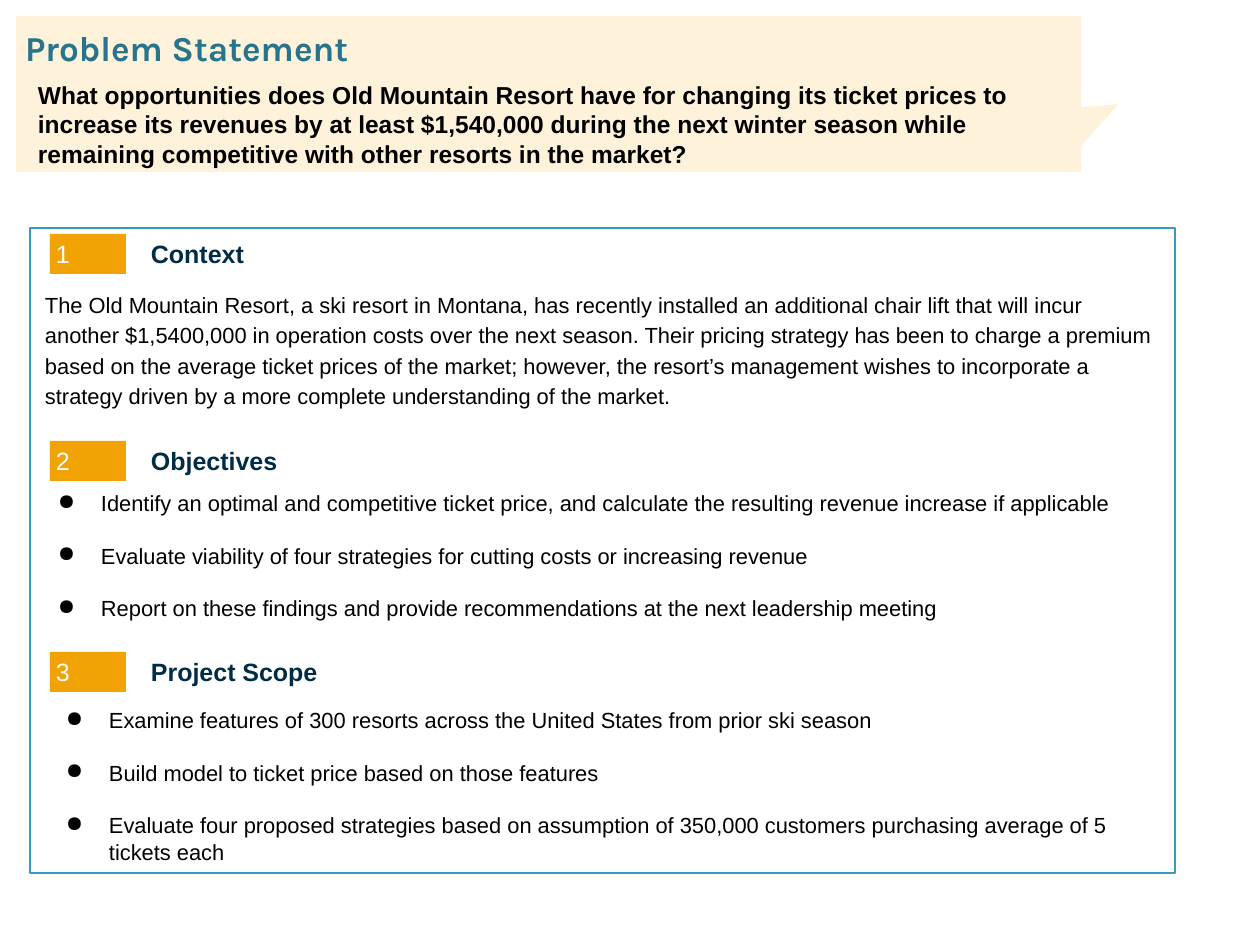
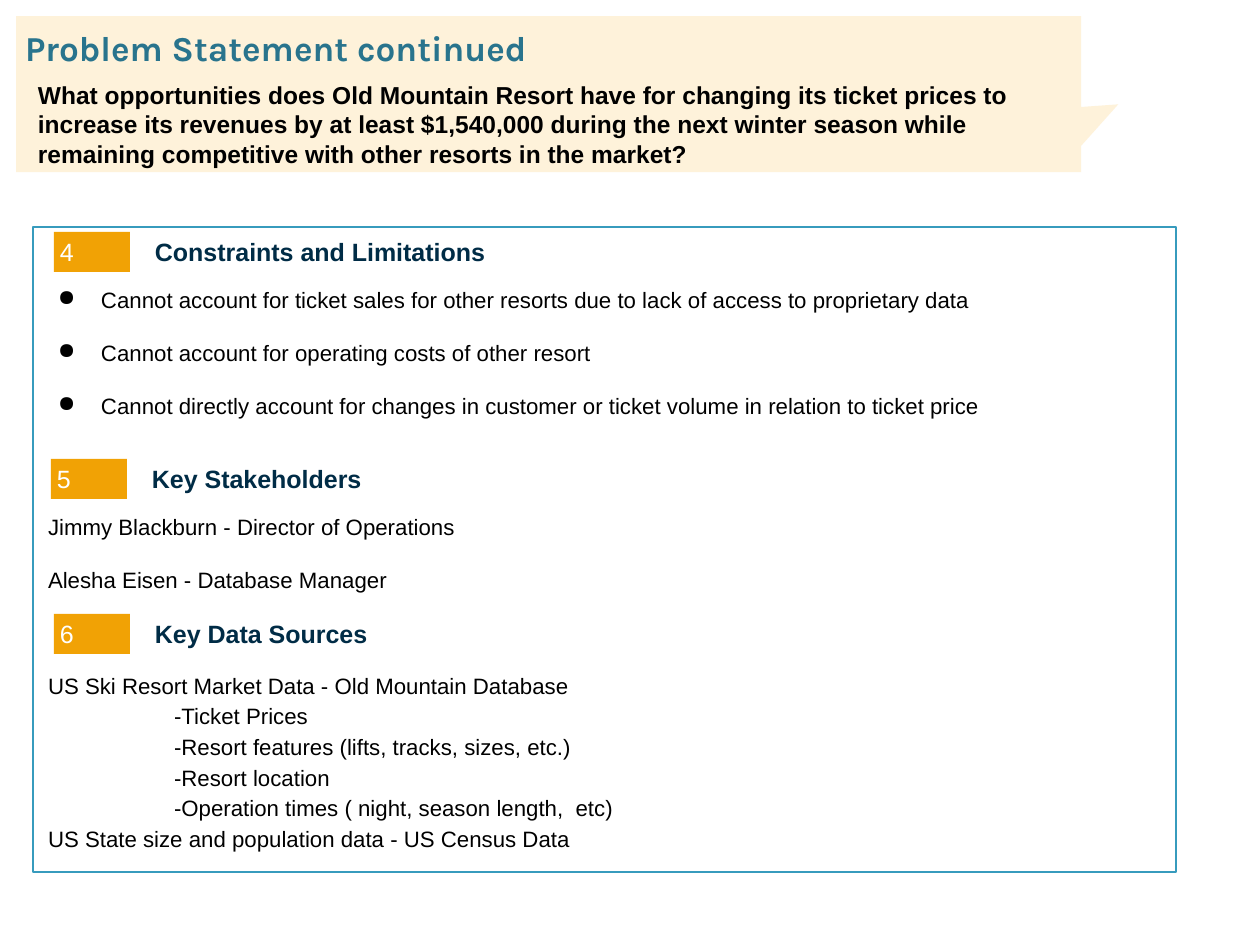
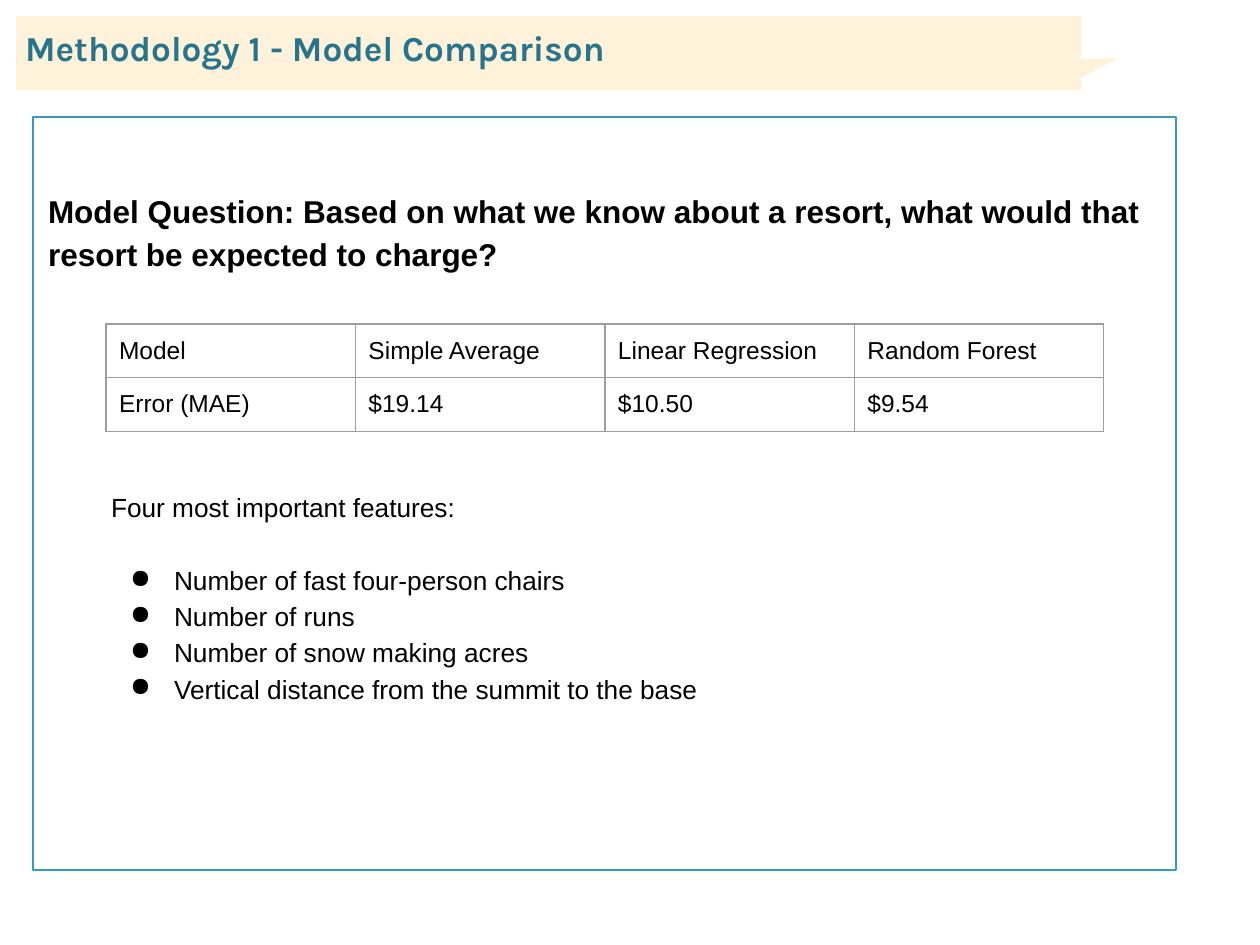
"""Build the three resort pricing slides: two problem statements and a model comparison."""
import pptx
import pptx.chart.data
import pptx.dml.color
import pptx.enum.shapes
import pptx.enum.text
import pptx.oxml
import pptx.oxml.ns
import pptx.util

THEME = {
    "title": {"name": "Karla", "size": 20, "bold": True, "color": "29748D"},
    "question": {"name": "Arial", "size": 14, "bold": True, "color": "000000"},
    "badge": {"name": "Arial", "size": 14.3, "bold": False, "color": "FFFFFF"},
    "heading": {"name": "Arial", "size": 14.3, "bold": True, "color": "002C46"},
    "body": {"name": "Arial", "size": 12.5, "bold": False, "color": "000000"},
    "body_large": {"name": "Arial", "size": 12.7, "bold": False, "color": "000000"},
    "model_question": {"name": "Arial", "size": 18, "bold": True, "color": "000000"},
    "feature": {"name": "Arial", "size": 15, "bold": False, "color": "000000"},
    "cell": {"name": "Arial", "size": 14, "bold": False, "color": "000000"},
    "banner_fill": "FEF2DA",
    "badge_fill": "F1A205",
    "frame_fill": "FFFFFF",
    "frame_line": "379BBD",
    "table_line": "9E9E9E",
    "bullet": "000000",
}

PARAGRAPHS = {
    "line": {},
    "spaced": {"after": 15},
    "loose": {"spacing": 1.15},
    "sub": {"spacing": 1.15, "left": 126},
    "bullet": {"after": 15, "left": 63, "hang": 43},
    "lead": {"spacing": 1.15, "after": 122},
    "feature_lead": {"spacing": 1.15, "after": 21, "left": 63},
    "feature": {"spacing": 1.15, "left": 126, "hang": 44},
}

QUESTION = [
    "What opportunities does Old Mountain Resort have for changing its ticket prices to",
    "increase its revenues by at least $1,540,000 during the next winter season while",
    "remaining competitive with other resorts in the market?",
]

STATEMENTS = [
    {
        "title": "Problem Statement",
        "frame": (30, 228, 1145, 645),
        "font": "body",
        "sections": [
            ("1", "Context", (50, 234), (32, 282, 1140, 171), [
                ("loose", "The Old Mountain Resort, a ski resort in Montana, has recently installed an "
                 "additional chair lift that will incur another $1,5400,000 in operation costs over the "
                 "next season. Their pricing strategy has been to charge a premium based on the average "
                 "ticket prices of the market; however, the resort’s management wishes to incorporate a "
                 "strategy driven by a more complete understanding of the market."),
            ]),
            ("2", "Objectives", (50, 441), (25, 484, 1140, 164), [
                ("bullet", "Identify an optimal and competitive ticket price, and calculate the resulting "
                 "revenue increase if applicable"),
                ("bullet", "Evaluate viability of four strategies for cutting costs or increasing revenue"),
                ("bullet", "Report on these findings and provide recommendations at the next leadership "
                 "meeting"),
            ]),
            ("3", "Project Scope", (50, 652), (33, 701, 1140, 171), [
                ("bullet", "Examine features of 300 resorts across the United States from prior ski season"),
                ("bullet", "Build model to ticket price based on those features"),
                ("bullet", "Evaluate four proposed strategies based on assumption of 350,000 customers "
                 "purchasing average of 5 tickets each"),
            ]),
        ],
    },
    {
        "title": "Problem Statement continued",
        "frame": (33, 227, 1143, 645),
        "font": "body_large",
        "sections": [
            ("4", "Constraints and Limitations", (54, 232), (25, 280, 1129, 164), [
                ("bullet", "Cannot account for ticket sales for other resorts due to lack of access to "
                 "proprietary data"),
                ("bullet", "Cannot account for operating costs of other resort"),
                ("bullet", "Cannot directly account for changes in customer or ticket volume in relation "
                 "to ticket price"),
            ]),
            ("5", "Key Stakeholders", (51, 459), (35, 507, 1129, 101), [
                ("spaced", "Jimmy Blackburn - Director of Operations"),
                ("spaced", "Alesha Eisen - Database Manager"),
            ]),
            ("6", "Key Data Sources", (54, 614), (35, 662, 1129, 183), [
                ("loose", "US Ski Resort Market Data - Old Mountain Database"),
                ("sub", "-Ticket Prices"),
                ("sub", "-Resort features (lifts, tracks, sizes, etc.)"),
                ("sub", "-Resort location"),
                ("sub", "-Operation times ( night, season length,  etc)"),
                ("loose", "US State size and population data - US Census Data"),
            ]),
        ],
    },
]

COMPARISON = {
    "title": "Methodology 1 - Model Comparison",
    "frame": (33, 117, 1143, 753),
    "text_at": (35, 180, 1129, 663),
    "text": [
        ("lead", "model_question", "Model Question: Based on what we know about a resort, what would that "
         "resort be expected to charge?"),
        ("feature_lead", "feature", "Four most important features:"),
        ("feature", "feature", "Number of fast four-person chairs"),
        ("feature", "feature", "Number of runs"),
        ("feature", "feature", "Number of snow making acres"),
        ("feature", "feature", "Vertical distance from the summit to the base"),
    ],
    "table_at": (106, 324, 998, 106),
    "table": [
        ("Model", "Simple Average", "Linear Regression", "Random Forest"),
        ("Error (MAE)", "$19.14", "$10.50", "$9.54"),
    ],
}

TALL_BANNER, SHORT_BANNER = 156, 74
BADGE_SIZE = (76, 40)
HEADING_SHIFT, HEADING_WIDTH = 101, 945
SHAPES = pptx.enum.shapes.MSO_SHAPE
ANCHOR = pptx.enum.text.MSO_ANCHOR


def px(length):
    return pptx.util.Emu(round(length * pptx.util.Inches(1) / 126))


def place(box):
    return [px(length) for length in box]


def rgb(value):
    return pptx.dml.color.RGBColor.from_string(value)


def add_xml(parent, markup):
    declaration = pptx.oxml.ns.nsdecls("a")
    parent.append(pptx.oxml.parse_xml(markup.replace(" ", f" {declaration} ", 1)))


def set_frame(frame, sides=0, ends=0, anchor=ANCHOR.TOP):
    values = {
        "word_wrap": True, "auto_size": pptx.enum.text.MSO_AUTO_SIZE.NONE, "vertical_anchor": anchor,
        "margin_left": px(sides), "margin_right": px(sides),
        "margin_top": px(ends), "margin_bottom": px(ends),
    }
    for name, value in values.items():
        setattr(frame, name, value)


def write(frame, rows):
    """Fill a text frame with (paragraph style, font style, text) rows."""
    for index, (style, font, text) in enumerate(rows):
        para = frame.paragraphs[0] if index == 0 else frame.add_paragraph()
        form = PARAGRAPHS[style]
        values = {
            "alignment": pptx.enum.text.PP_ALIGN.LEFT,
            "line_spacing": form.get("spacing", 1.0),
            "space_before": pptx.util.Pt(0),
            "space_after": pptx.util.Pt(form.get("after", 0)),
        }
        for name, value in values.items():
            setattr(para, name, value)
        properties = para._p.get_or_add_pPr()
        properties.set("marL", str(px(form.get("left", 0))))
        properties.set("indent", str(-px(form.get("hang", 0))))
        if "hang" in form:
            add_xml(properties, f'<a:buClr ><a:srgbClr val="{THEME["bullet"]}"/></a:buClr>')
            add_xml(properties, '<a:buChar char="●"/>')
        span = para.add_run()
        span.text = text
        look = THEME[font]
        for name, value in {"name": look["name"], "size": pptx.util.Pt(look["size"]),
                            "bold": look["bold"]}.items():
            setattr(span.font, name, value)
        span.font.color.rgb = rgb(look["color"])


def add_text(page, box, rows, sides=13, ends=6, anchor=ANCHOR.TOP):
    frame = page.shapes.add_textbox(*place(box)).text_frame
    set_frame(frame, sides, ends, anchor)
    write(frame, rows)


def add_block(page, kind, box, fill, line=None):
    shape = page.shapes.add_shape(kind, *place(box))
    shape.shadow.inherit = False
    shape.fill.solid()
    shape.fill.fore_color.rgb = rgb(fill)
    if line:
        shape.line.color.rgb = rgb(line)
        shape.line.width = pptx.util.Pt(1.5)
    else:
        shape.line.fill.background()
    return shape


def add_page(deck, content, banner_height):
    """Add a slide with its frame, banner and title."""
    page = deck.slides.add_slide(deck.slide_layouts[5])
    add_block(page, SHAPES.RECTANGLE, content["frame"], THEME["frame_fill"], THEME["frame_line"])
    banner = add_block(page, SHAPES.RECTANGULAR_CALLOUT, (16, 16, 1065, banner_height), THEME["banner_fill"])
    banner.adjustments[0], banner.adjustments[1] = 0.535, 0.066
    title = page.shapes.title
    for name, value in zip(("left", "top", "width", "height"), place((25, 26, 1212, 43))):
        setattr(title, name, value)
    set_frame(title.text_frame)
    write(title.text_frame, [("line", "title", content["title"])])
    banner.element.addnext(title.element)
    return page


def add_section(page, font, number, heading, corner, body_box, body):
    left, top = corner
    width, height = BADGE_SIZE
    badge = add_block(page, SHAPES.RECTANGLE, (left, top, width, height), THEME["badge_fill"])
    set_frame(badge.text_frame, 6, 6, ANCHOR.MIDDLE)
    write(badge.text_frame, [("line", "badge", number)])
    add_text(page, (left + HEADING_SHIFT, top, HEADING_WIDTH, height),
             [("line", "heading", heading)], 0, 0, ANCHOR.MIDDLE)
    add_text(page, body_box, [(style, font, text) for style, text in body])


def add_error_table(page, box, rows):
    table = page.shapes.add_table(len(rows), len(rows[0]), *place(box)).table
    table.first_row = table.horz_banding = False
    for row, texts in enumerate(rows):
        for column, text in enumerate(texts):
            cell = table.cell(row, column)
            for side in ("left", "right", "top", "bottom"):
                setattr(cell, f"margin_{side}", px(13))
            write(cell.text_frame, [("line", "cell", text)])
            properties = cell._tc.get_or_add_tcPr()
            for edge in ("lnL", "lnR", "lnT", "lnB"):
                add_xml(properties, f'<a:{edge} w="{pptx.util.Pt(0.75)}"><a:solidFill>'
                        f'<a:srgbClr val="{THEME["table_line"]}"/></a:solidFill></a:{edge}>')
            cell.fill.background()


def main():
    deck = pptx.Presentation()
    deck.slide_width, deck.slide_height = px(1260), px(945)
    for content in STATEMENTS:
        page = add_page(deck, content, TALL_BANNER)
        add_text(page, (25, 74, 1183, 111), [("line", "question", text) for text in QUESTION])
        for section in content["sections"]:
            add_section(page, content["font"], *section)
    page = add_page(deck, COMPARISON, SHORT_BANNER)
    add_text(page, COMPARISON["text_at"], COMPARISON["text"])
    add_error_table(page, COMPARISON["table_at"], COMPARISON["table"])
    deck.save("out.pptx")


if __name__ == "__main__":
    main()
